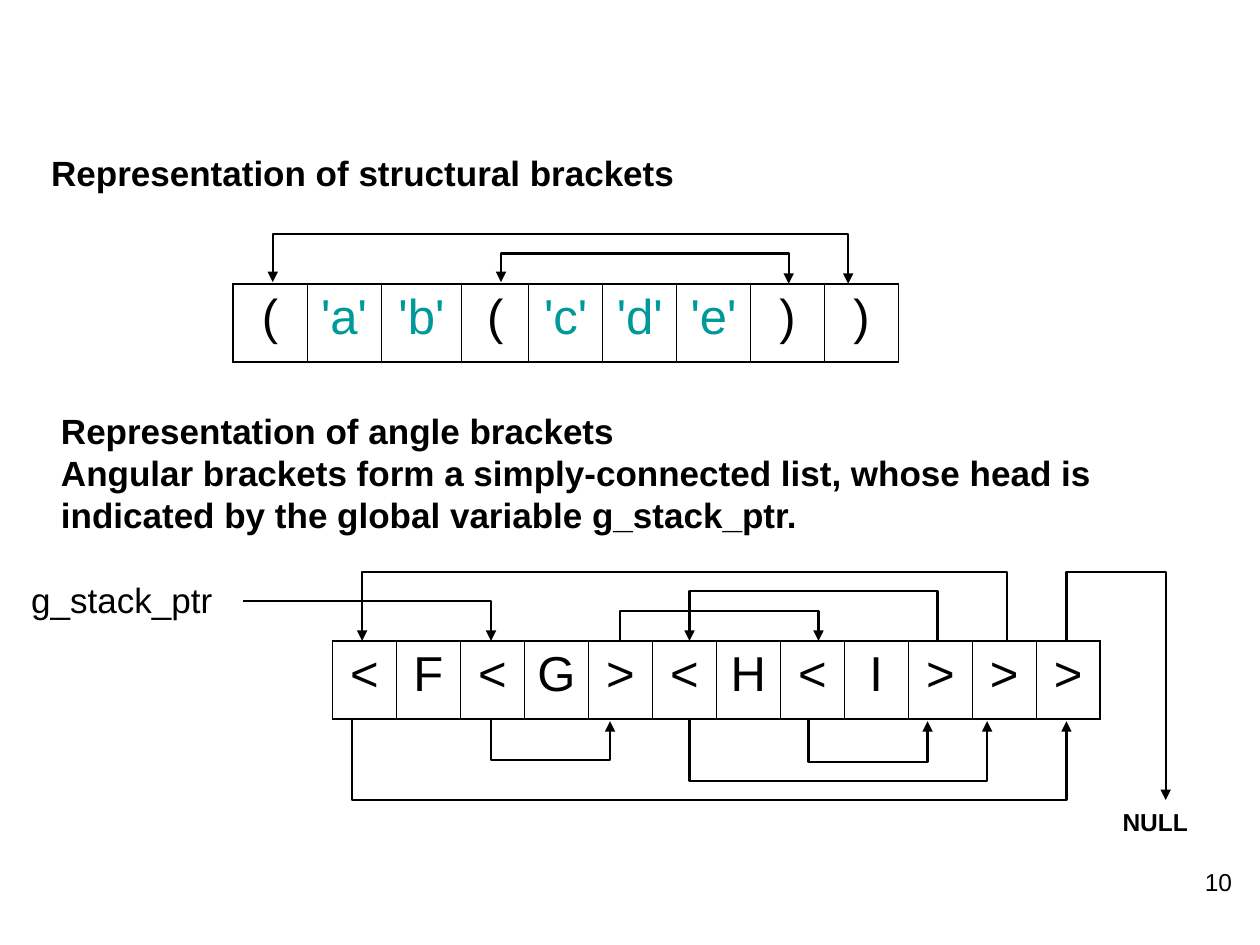
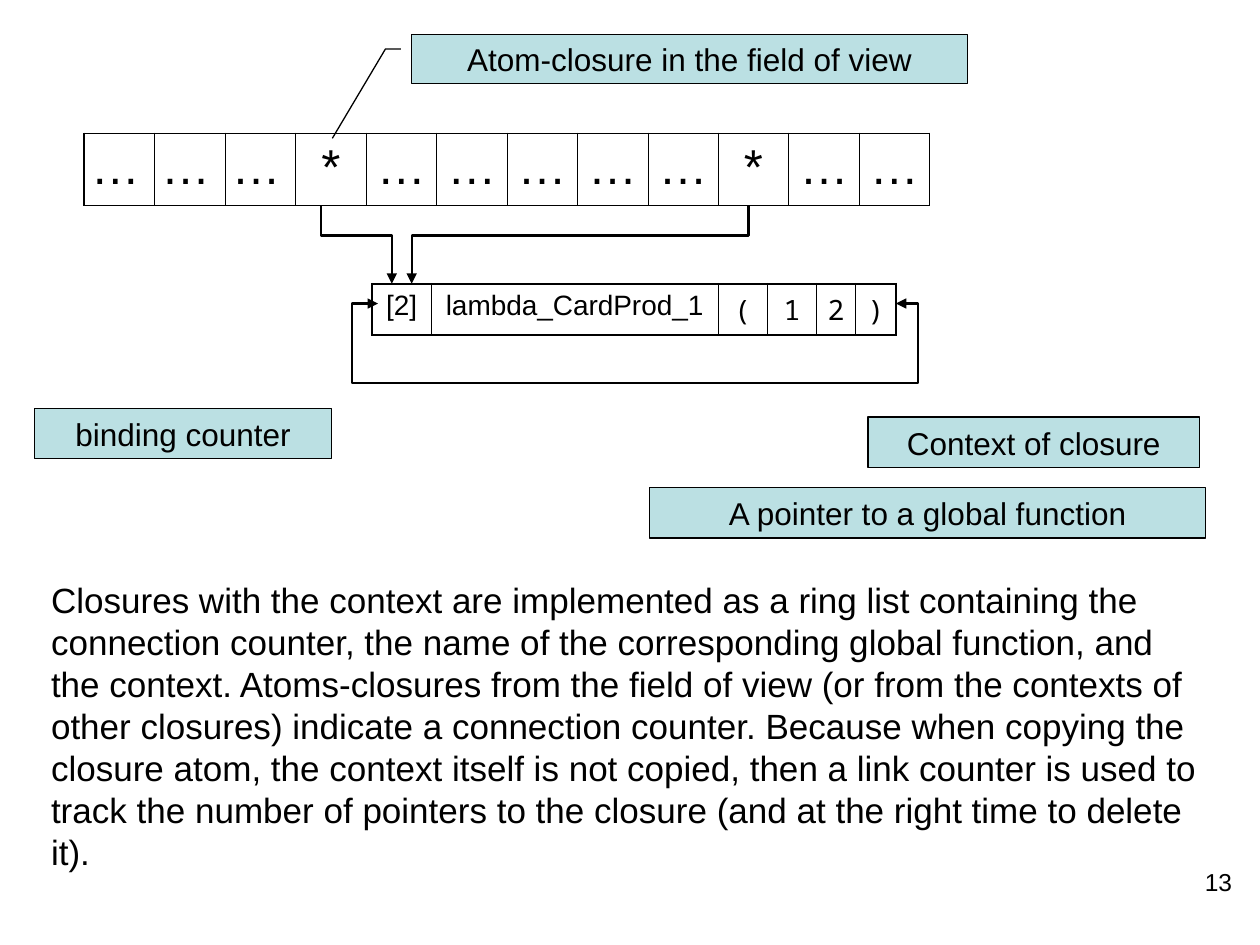
"""Build two slides on list structures: bracket links and closures."""
from lxml import etree
from pptx import Presentation
from pptx.dml.color import RGBColor
from pptx.enum.shapes import MSO_SHAPE
from pptx.enum.text import MSO_ANCHOR, MSO_AUTO_SIZE, PP_ALIGN
from pptx.oxml.ns import qn
from pptx.util import Cm, Pt

BLACK = RGBColor(0x00, 0x00, 0x00)
TEAL = RGBColor(0x00, 0x99, 0x99)
PALE_BLUE = RGBColor(0xBB, 0xE0, 0xE3)
FONT = "Arial"
MONO = "Noto Sans Mono"
LEFT, CENTER, RIGHT = PP_ALIGN.LEFT, PP_ALIGN.CENTER, PP_ALIGN.RIGHT
TOP, MIDDLE = MSO_ANCHOR.TOP, MSO_ANCHOR.MIDDLE
NO_AUTOFIT = MSO_AUTO_SIZE.NONE
RECTANGLE = MSO_SHAPE.RECTANGLE
TITLE_ONLY, BLANK = 5, 6
INSET = Cm(0.13)
OUTER, INNER = 1.08, 0.45


def style_paragraph(p, size, align=LEFT, bold=False, color=BLACK, font=FONT):
    """Set the alignment and font of one paragraph."""
    p.alignment = align
    p.space_before = Pt(0)
    p.font.name, p.font.size, p.font.bold = font, Pt(size), bold
    p.font.color.rgb = color


def fill_text(sp, text, size, align=LEFT, bold=False, anchor=TOP):
    """Write text, one paragraph a line, into a shape."""
    tf = sp.text_frame
    tf.word_wrap = True
    tf.auto_size = NO_AUTOFIT
    tf.vertical_anchor = anchor
    tf.margin_left = tf.margin_right = tf.margin_top = tf.margin_bottom = INSET
    tf.text = text
    for p in tf.paragraphs:
        style_paragraph(p, size, align, bold)


def add_text(slide, box, text, size=20, align=LEFT, bold=False):
    """Add a text box; box is left, top, width, height in cm."""
    sp = slide.shapes.add_textbox(*map(Cm, box))
    fill_text(sp, text, size, align, bold)


def add_title(slide, box, text):
    """Place and fill the title placeholder."""
    sp = slide.shapes.title
    sp.left, sp.top, sp.width, sp.height = map(Cm, box)
    fill_text(sp, text, 20, bold=True)


def add_page_number(slide, number):
    """Add the page number at the lower right."""
    add_text(slide, (22.45, 17.35, 2.52, 0.84), str(number), 14, RIGHT)


def add_label(slide, box, text):
    """Add a pale blue label with a thin outline."""
    sp = slide.shapes.add_shape(RECTANGLE, *map(Cm, box))
    sp.shadow.inherit = False
    sp.fill.solid()
    sp.fill.fore_color.rgb = PALE_BLUE
    sp.line.color.rgb = BLACK
    sp.line.width = Pt(0.75)
    fill_text(sp, text, 18, CENTER, anchor=MIDDLE)


def set_borders(cell, widths):
    """Draw black cell borders; widths maps a side to points."""
    tc_pr = cell._tc.get_or_add_tcPr()
    for side, width in widths.items():
        ln = etree.SubElement(tc_pr, qn(f"a:ln{side}"), w=str(Pt(width)))
        fill = etree.SubElement(ln, qn("a:solidFill"))
        etree.SubElement(fill, qn("a:srgbClr"), val=str(BLACK))


def add_cells(slide, left, top, height, widths, texts, size=28):
    """Add a one-row table of list cells and return its cells."""
    frame = slide.shapes.add_table(1, len(texts), Cm(left), Cm(top),
                                   Cm(sum(widths)), Cm(height))
    table = frame.table
    table.first_row = table.horz_banding = False
    table.rows[0].height = Cm(height)
    last = len(texts) - 1
    cells = list(table.rows[0].cells)
    for i, (cell, width, text) in enumerate(zip(cells, widths, texts)):
        table.columns[i].width = Cm(width)
        cell.margin_left = cell.margin_right = INSET
        cell.margin_top = cell.margin_bottom = INSET
        cell.text = text
        color = TEAL if text.startswith("'") else BLACK
        style_paragraph(cell.text_frame.paragraphs[0], size, CENTER, color=color)
        set_borders(cell, {"L": INNER if i else OUTER,
                           "R": INNER if i < last else OUTER,
                           "T": OUTER, "B": OUTER})
        cell.fill.background()
    return cells


def add_path(slide, points, head=False, tail=True, width=1.25):
    """Draw an open line through points in cm, with arrowheads as asked."""
    (x, y), *rest = [(Cm(px), Cm(py)) for px, py in points]
    builder = slide.shapes.build_freeform(x, y)
    builder.add_line_segments(rest, close=False)
    sp = builder.convert_to_shape()
    sp.shadow.inherit = False
    sp.fill.background()
    sp.line.color.rgb = BLACK
    sp.line.width = Pt(width)
    ln = sp.line._get_or_add_ln()
    for tag, wanted in (("a:headEnd", head), ("a:tailEnd", tail)):
        if wanted:
            etree.SubElement(ln, qn(tag), type="triangle")


def add_link(slide, x1, y1, bend, x2, y2, head=False):
    """Link two points by way of a horizontal run at the height bend."""
    add_path(slide, [(x1, y1), (x1, bend), (x2, bend), (x2, y2)], head)


def build_brackets(prs):
    """Slide on structural and angle brackets."""
    s = prs.slides.add_slide(prs.slide_layouts[TITLE_ONLY])
    add_title(s, (0.9, 2.92, 24, 1.09), "Representation of structural brackets")
    add_page_number(s, 10)

    row_top, row_height = 5.72, 1.58
    add_cells(s, 4.7, row_top, row_height, [1.49, 1.49, 1.63, 1.35] + [1.49] * 5,
              ["(", "'a'", "'b'", "(", "'c'", "'d'", "'e'", ")", ")"])
    for close, bend, start in ((15.9, 5.11, 10.1), (17.1, 4.72, 5.5)):
        add_link(s, close, row_top, bend, start, row_top - 0.03, head=True)

    add_text(s, (1.1, 8.13, 22.86, 2.79),
             "Representation of angle brackets\n"
             "Angular brackets form a simply-connected list, whose head is "
             "indicated by the global variable g_stack_ptr.", bold=True)

    row_top = 12.92
    row_bottom = row_top + row_height
    add_cells(s, 6.7, row_top, row_height, [1.29] * 12, "<F<G><H<I>>>")
    for start, bend, close in ((9.9, 15.32, 12.3), (16.3, 15.37, 18.7),
                               (13.9, 15.75, 19.9), (7.1, 16.13, 21.5)):
        add_link(s, start, row_bottom, bend, close, row_bottom + 0.04)
    for close, bend, start in ((18.9, 11.91, 13.9), (12.5, 12.32, 16.5),
                               (20.3, 11.53, 7.3)):
        add_link(s, close, row_top, bend, start, row_top)

    add_text(s, (0.5, 11.53, 4.6, 1.09), "g_stack_ptr")
    add_path(s, [(4.9, 12.12), (9.9, 12.12), (9.9, row_top)])
    add_link(s, 21.5, row_top, 11.53, 23.5, 16.13)
    add_text(s, (22.5, 16.13, 1.98, 0.84), "NULL", 14, bold=True)


def build_closures(prs):
    """Slide on closures kept as a ring list."""
    s = prs.slides.add_slide(prs.slide_layouts[BLANK])
    add_page_number(s, 13)

    view_top, view_height, closure_top = 2.69, 1.45, 5.72
    view = ["*" if i in (3, 9) else "…" for i in range(12)]
    cells = add_cells(s, 1.7, view_top, view_height, [1.42] * 12, view)
    for cell in cells[:3]:
        cell.text_frame.paragraphs[0].alignment = LEFT

    cells = add_cells(s, 7.5, closure_top, 1, [1.19, 5.79, 0.99, 0.99, 0.79, 0.81],
                      ["[2]", "lambda_CardProd_1", "(", "1", "2", ")"], 16)
    for cell in cells[2:]:
        cell.text_frame.paragraphs[0].font.name = MONO

    for atom, counter in ((6.48, 7.9), (15.09, 8.3)):
        add_link(s, atom, view_top + view_height, 4.75, counter, closure_top)
    add_path(s, [(18.06, 6.12), (18.5, 6.12), (18.5, 7.72), (7.1, 7.72),
                 (7.1, 6.12), (7.62, 6.12)], head=True)

    add_path(s, [(6.7, 2.79), (7.77, 0.99), (8.08, 0.99)], tail=False, width=0.75)
    for box, text in (
            ((8.3, 0.69, 11.2, 1), "Atom-closure in the field of view"),
            ((0.69, 8.23, 6, 1.02), "binding counter"),
            ((13.1, 9.83, 11.2, 1.02), "A pointer to a global function"),
            ((17.5, 8.41, 6.68, 1.02), "Context of closure")):
        add_label(s, box, text)

    add_text(s, (0.9, 11.53, 23.6, 6.17),
             "Closures with the context are implemented as a ring list containing "
             "the connection counter, the name of the corresponding global "
             "function, and the context. Atoms-closures from the field of view "
             "(or from the contexts of other closures) indicate a connection "
             "counter. Because when copying the closure atom, the context itself "
             "is not copied, then a link counter is used to track the number of "
             "pointers to the closure (and at the right time to delete it).")


def main():
    """Build and save the presentation."""
    prs = Presentation()
    prs.slide_width, prs.slide_height = Cm(25.4), Cm(19.05)
    build_brackets(prs)
    build_closures(prs)
    prs.save("out.pptx")


if __name__ == "__main__":
    main()
